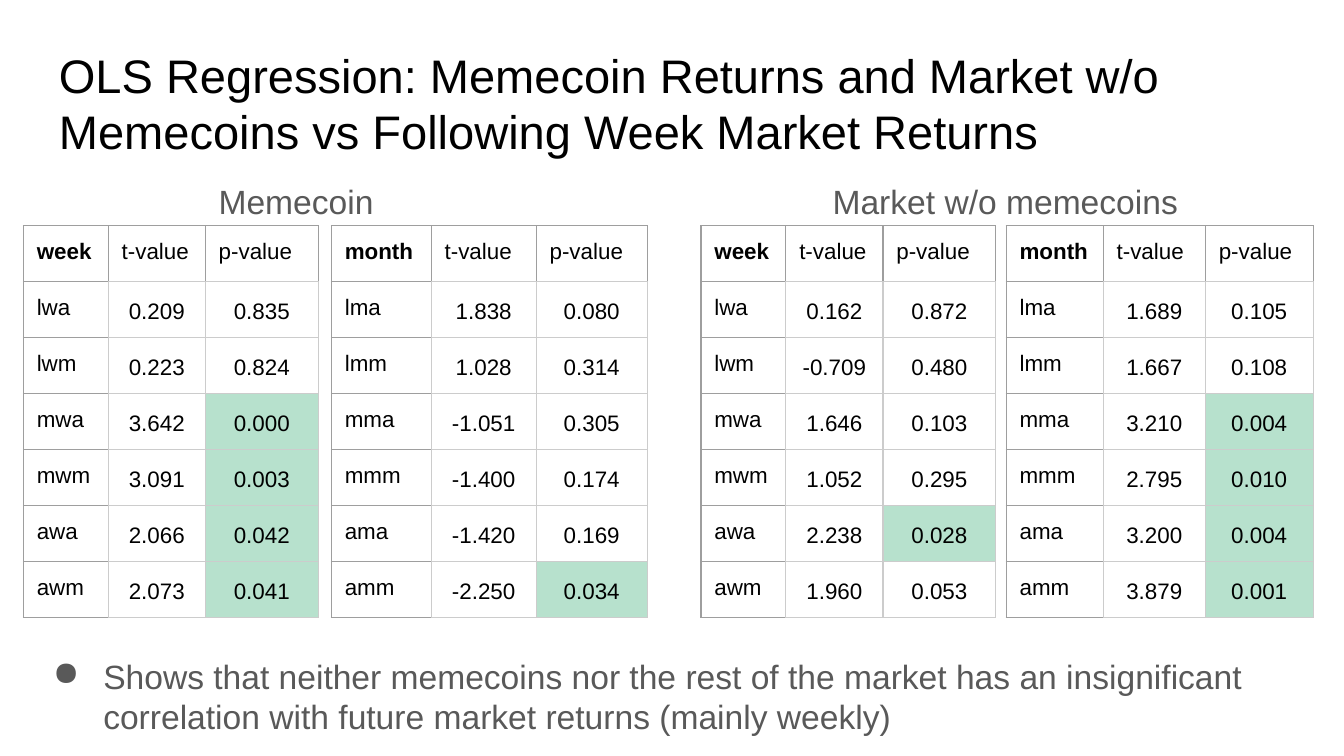
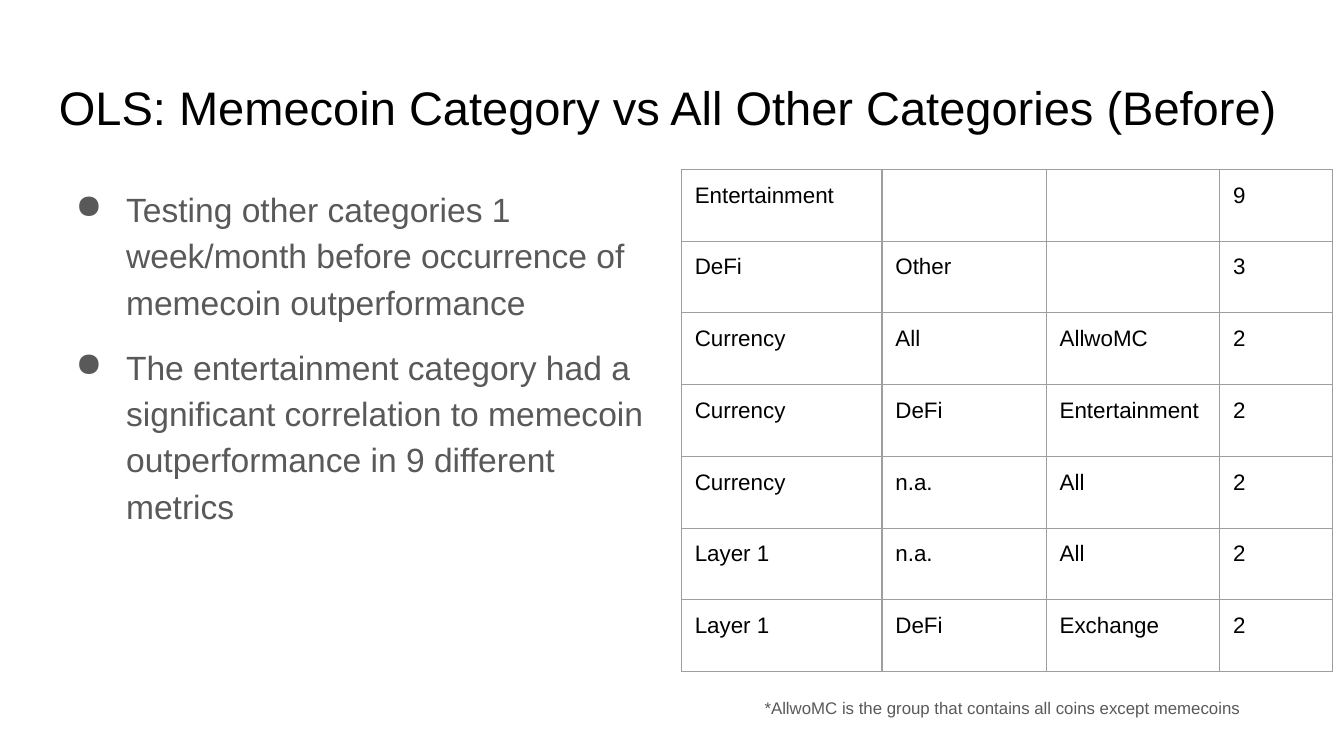
from lxml import etree
from pptx import Presentation
from pptx.dml.color import RGBColor
from pptx.enum import text
from pptx.oxml import ns
from pptx.util import Pt

BLACK = RGBColor(0x00, 0x00, 0x00)
GREY = RGBColor(0x59, 0x59, 0x59)
DARK_RULE = RGBColor(0x9E, 0x9E, 0x9E)
LIGHT_RULE = RGBColor(0xCC, 0xCC, 0xCC)
GREEN = RGBColor(0xB7, 0xE1, 0xCD)
FONT = "Arial"
INSET = 7.2
TITLE, BODY, CELL, NOTE = 25.2, 18, 12, 9
SIGNIFICANT = 0.05


def add_run(p, words, size, color, bold=False):
    r = p.add_run()
    r.text = words
    r.font.name = FONT
    r.font.size = Pt(size)
    r.font.bold = bold
    r.font.color.rgb = color


def add_grid(s, left, top, widths, row_height, rows, stats=False):
    """Add a ruled table; stats centres the numbers and marks low p-values."""
    frame = s.shapes.add_table(len(rows), len(widths), Pt(left), Pt(top),
                               Pt(sum(widths)), Pt(row_height * len(rows)))
    table = frame.table
    table.first_row = table.horz_banding = False
    for column, width in zip(table.columns, widths):
        column.width = Pt(width)
    for i, row in enumerate(rows):
        table.rows[i].height = Pt(row_height)
        for j, words in enumerate(row):
            cell = table.cell(i, j)
            number = stats and i > 0 and j > 0
            dx, dy = (2, 1.5) if number else (INSET, INSET)
            cell.margin_left = cell.margin_right = Pt(dx)
            cell.margin_top = cell.margin_bottom = Pt(dy)
            p = cell.text_frame.paragraphs[0]
            if number:
                cell.vertical_anchor = text.MSO_ANCHOR.MIDDLE
                p.alignment = text.PP_ALIGN.CENTER
                p.line_spacing = 1.15
            if words:
                add_run(p, words, CELL, BLACK, stats and i == j == 0)

            light = ""
            if number:
                light = "LRTB"
            elif stats and i > 0:
                light = "R"
            elif stats and j > 0:
                light = "B"
            tc_pr = cell._tc.get_or_add_tcPr()
            for side in "LRTB":
                ln = etree.SubElement(tc_pr, ns.qn(f"a:ln{side}"), w=str(Pt(0.75)))
                fill = etree.SubElement(ln, ns.qn("a:solidFill"))
                rule = LIGHT_RULE if side in light else DARK_RULE
                etree.SubElement(fill, ns.qn("a:srgbClr"), val=str(rule))
            if number and j == 2 and float(words) < SIGNIFICANT:
                cell.fill.solid()
                cell.fill.fore_color.rgb = GREEN
            else:
                cell.fill.background()


prs = Presentation()
prs.slide_width, prs.slide_height = Pt(720), Pt(405)
regression, categories = [prs.slides.add_slide(prs.slide_layouts[6]) for _ in range(2)]

# Text boxes: slide, (left, top, width, height), size, colour, line spacing, bulleted, paragraphs
boxes = [
    (regression, (24.5, 17.5, 671, 45), TITLE, BLACK, 1, False,
     ["OLS Regression: Memecoin Returns and Market w/o Memecoins vs Following Week Market Returns"]),
    (regression, (110, 89.5, 106.5, 28), BODY, GREY, 1, False, ["Memecoin"]),
    (regression, (439, 89.5, 219, 28), BODY, GREY, 1, False, ["Market w/o memecoins"]),
    (regression, (12.25, 344, 691, 51), BODY, GREY, 1, True,
     ["Shows that neither memecoins nor the rest of the market has an insignificant "
      "correlation with future market returns (mainly weekly)"]),
    (categories, (24.5, 35, 671, 45), TITLE, BLACK, 1, False,
     ["OLS: Memecoin Category vs All Other Categories (Before)"]),
    (categories, (24.5, 90.75, 335.5, 269.5), BODY, GREY, 1.15, True,
     ["Testing other categories 1 week/month before occurrence of memecoin outperformance",
      "The entertainment category had a significant correlation to memecoin "
      "outperformance in 9 different metrics"]),
    (categories, (402.5, 368.5, 311, 26.5), NOTE, GREY, 1, False,
     ["*AllwoMC is the group that contains all coins except memecoins"]),
]
for s, place, size, color, spacing, bulleted, paragraphs in boxes:
    tf = s.shapes.add_textbox(*map(Pt, place)).text_frame
    tf.word_wrap = True
    tf.margin_left = tf.margin_right = tf.margin_top = tf.margin_bottom = Pt(INSET)
    for i, words in enumerate(paragraphs):
        p = tf.add_paragraph() if i else tf.paragraphs[0]
        p.line_spacing = float(spacing)
        if i:
            p.space_before = p.space_after = Pt(10)
        if bulleted:
            p_pr = p._p.get_or_add_pPr()
            p_pr.set("marL", str(Pt(36)))
            p_pr.set("indent", str(Pt(-27)))
            bu_clr = etree.SubElement(p_pr, ns.qn("a:buClr"))
            etree.SubElement(bu_clr, ns.qn("a:srgbClr"), val=str(color))
            etree.SubElement(p_pr, ns.qn("a:buChar"), char="●")
        add_run(p, words, size, color)

# Regression tables: left, column widths, period, t-values, p-values
results = [
    (539, (52, 54.75, 57.75), "month",
     "1.689 1.667 3.210 2.795 3.200 3.879", "0.105 0.108 0.004 0.010 0.004 0.001"),
    (375.5, (45.5, 52, 60.5), "week",
     "0.162 -0.709 1.646 1.052 2.238 1.960", "0.872 0.480 0.103 0.295 0.028 0.053"),
    (12.5, (45.5, 52, 60.5), "week",
     "0.209 0.223 3.642 3.091 2.066 2.073", "0.835 0.824 0.000 0.003 0.042 0.041"),
    (177.5, (53.5, 56.25, 59.5), "month",
     "1.838 1.028 -1.051 -1.400 -1.420 -2.250", "0.080 0.314 0.305 0.174 0.169 0.034"),
]
for left, widths, period, t_values, p_values in results:
    metrics = [a + period[0] + b for a in "lma" for b in "am"]
    rows = [(period, "t-value", "p-value"), *zip(metrics, t_values.split(), p_values.split())]
    add_grid(regression, left, 121, widths, 30, rows, stats=True)

category_counts = [
    ("Entertainment", "", "", "9"),
    ("DeFi", "Other", "", "3"),
    ("Currency", "All", "AllwoMC", "2"),
    ("Currency", "DeFi", "Entertainment", "2"),
    ("Currency", "n.a.", "All", "2"),
    ("Layer 1", "n.a.", "All", "2"),
    ("Layer 1", "DeFi", "Exchange", "2"),
]
add_grid(categories, 365, 90.75, (107.5, 88, 93, 60.5), 38.45, category_counts)

prs.save("out.pptx")
